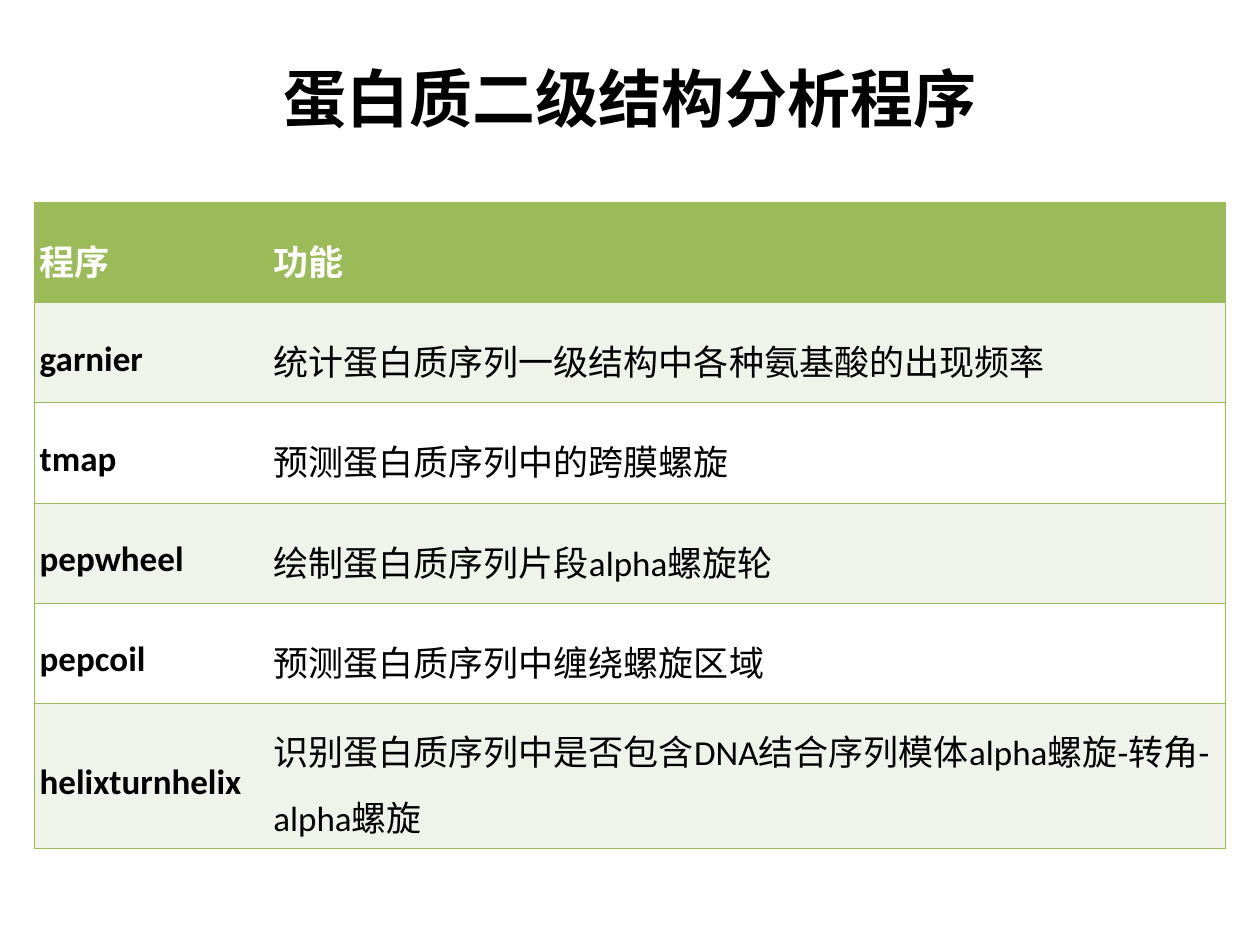
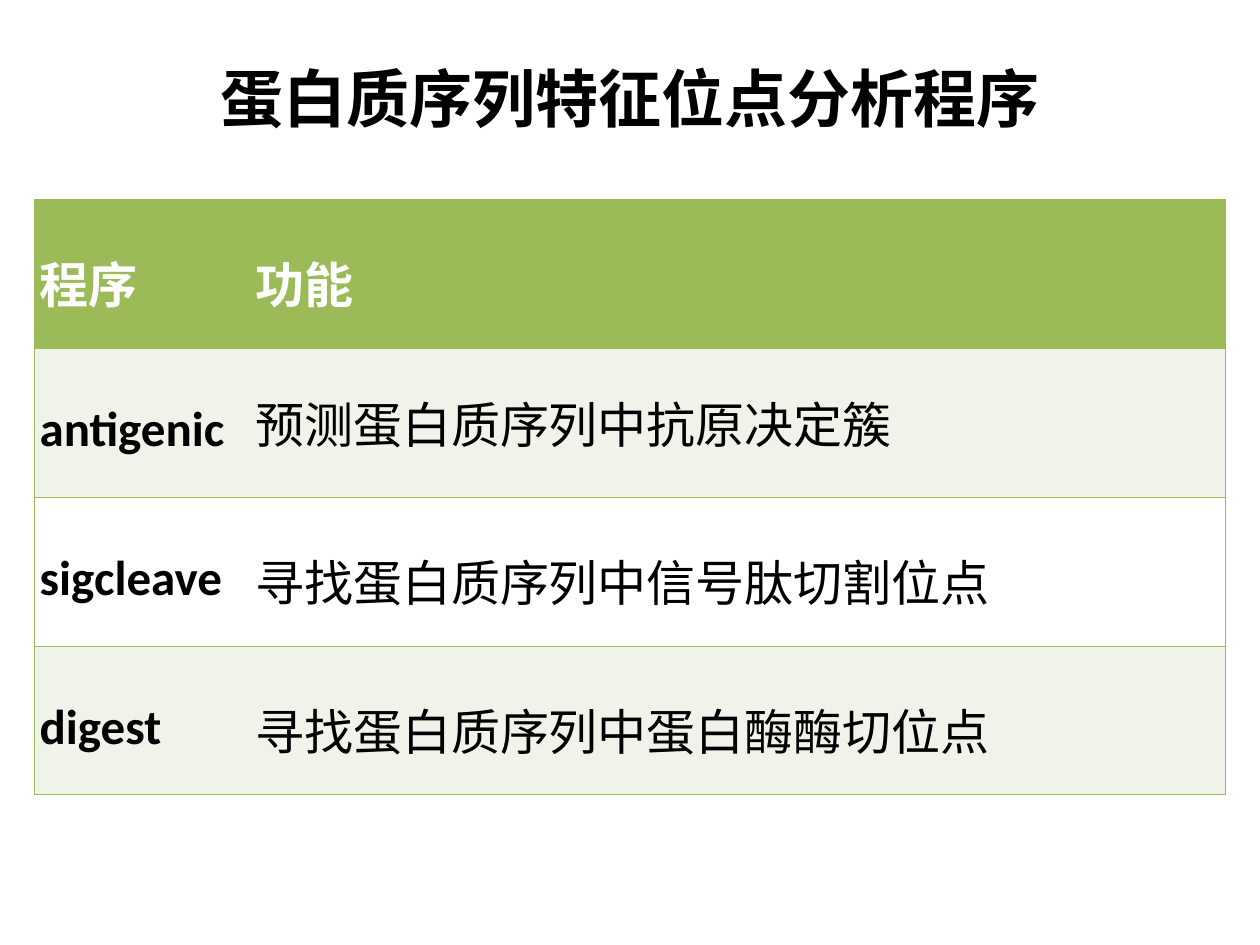
from dataclasses import dataclass

from lxml.etree import SubElement as Sub
from pptx import Presentation
from pptx.dml.color import RGBColor as Rgb
from pptx.enum.text import MSO_ANCHOR as Anchor, PP_ALIGN as Align
from pptx.oxml.ns import qn
from pptx.util import Cm, Pt


@dataclass(frozen=True)
class Theme:
    font: str = "Calibri"
    ink: str = "000000"
    green: str = "9BBB59"
    pale: str = "EFF3EA"
    white: str = "FFFFFF"
    title: int = 36
    rule: float = 0.45


THEME = Theme()
LEFT, WIDTH = 0.7, 24
TITLE_BOX = (LEFT, 0.96, WIDTH, 2.01)
HEADS = ("程序", "功能")


def style(para, size, color, bold):
    font = para.font
    font.name, font.size, font.bold = THEME.font, Pt(size), bold
    font.color.rgb = Rgb.from_string(color)


def add_title(slide, box, text):
    frame = slide.shapes.add_textbox(*map(Cm, box)).text_frame
    frame.word_wrap = True
    frame.vertical_anchor = Anchor.MIDDLE
    frame.margin_left = frame.margin_right = Cm(0.36)
    frame.margin_top = frame.margin_bottom = Cm(0.2)
    para = frame.paragraphs[0]
    para.text = text
    para.alignment = Align.CENTER
    style(para, THEME.title, THEME.ink, True)


def set_edges(cell, shown):
    props = cell._tc.get_or_add_tcPr()
    for spot, side in enumerate("LRTB"):
        line = props.makeelement(qn(f"a:ln{side}"), w=str(Pt(THEME.rule)))
        if side in shown:
            fill = Sub(line, qn("a:solidFill"))
            Sub(fill, qn("a:srgbClr"), val=THEME.green)
        else:
            Sub(line, qn("a:noFill"))
        props.insert(spot, line)


def fill_cell(cell, text, size, row, col, space):
    head = row == 0
    back = THEME.green if head else (THEME.white, THEME.pale)[row % 2]
    cell.fill.solid()
    cell.fill.fore_color.rgb = Rgb.from_string(back)
    cell.vertical_anchor = Anchor.MIDDLE
    cell.margin_left = cell.margin_right = Cm(0.1)
    cell.margin_top = cell.margin_bottom = Cm(0.13)
    para = cell.text_frame.paragraphs[0]
    para.text = text
    para.line_spacing = space
    style(para, size, THEME.white if head else THEME.ink, head or col == 0)
    set_edges(cell, "RTB" if col else "LTB")


def add_grid(slide, box, rows, first, heights, size, space):
    left, top, width = box
    shape = slide.shapes.add_table(
        len(rows), 2, Cm(left), Cm(top), Cm(width), Cm(sum(heights)))
    table = shape.table
    table.first_row = table.horz_banding = False
    for col, wide in enumerate((first, width - first)):
        table.columns[col].width = Cm(wide)
    for row, (texts, high) in enumerate(zip(rows, heights)):
        table.rows[row].height = Cm(high)
        for col, text in enumerate(texts):
            fill_cell(table.cell(row, col), text, size, row, col, space)
    return table


def add_page(deck, title, top, items, **look):
    slide = deck.slides.add_slide(deck.slide_layouts[6])
    add_title(slide, TITLE_BOX, title)
    return add_grid(slide, (LEFT, top, WIDTH), [HEADS, *items], **look)


def main():
    deck = Presentation()
    deck.slide_width, deck.slide_height = Cm(25.4), Cm(19.05)

    add_page(deck, "蛋白质二级结构分析程序", 4.08, [
        ("garnier", "统计蛋白质序列一级结构中各种氨基酸的出现频率"),
        ("tmap", "预测蛋白质序列中的跨膜螺旋"),
        ("pepwheel", "绘制蛋白质序列片段alpha螺旋轮"),
        ("pepcoil", "预测蛋白质序列中缠绕螺旋区域"),
        ("helixturnhelix",
         "识别蛋白质序列中是否包含DNA结合序列模体alpha螺旋-转角-alpha螺旋"),
    ], first=4.71, heights=[2.02] * 5 + [2.92], size=20, space=1.3)

    sites = add_page(deck, "蛋白质序列特征位点分析程序", 4.02, [
        ("antigenic", "预测蛋白质序列中抗原决定簇"),
        ("sigcleave", "寻找蛋白质序列中信号肽切割位点"),
        ("digest", "寻找蛋白质序列中蛋白酶酶切位点"),
    ], first=4.35, heights=[3] * 4, size=28, space=1.25)
    para = sites.cell(1, 1).text_frame.paragraphs[0]
    para.alignment = Align.JUSTIFY
    para.line_spacing = 1.0

    deck.save("out.pptx")


if __name__ == "__main__":
    main()
